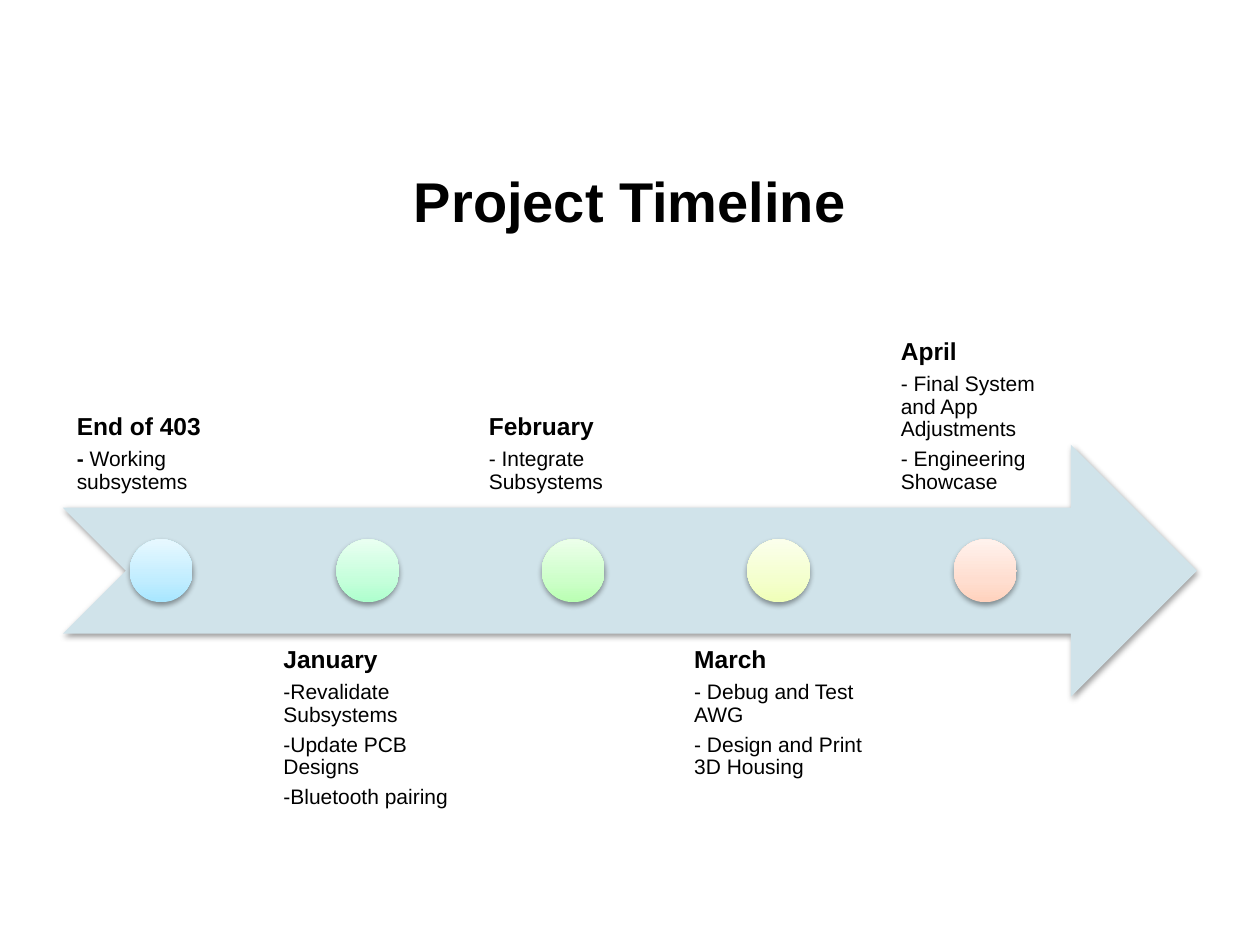
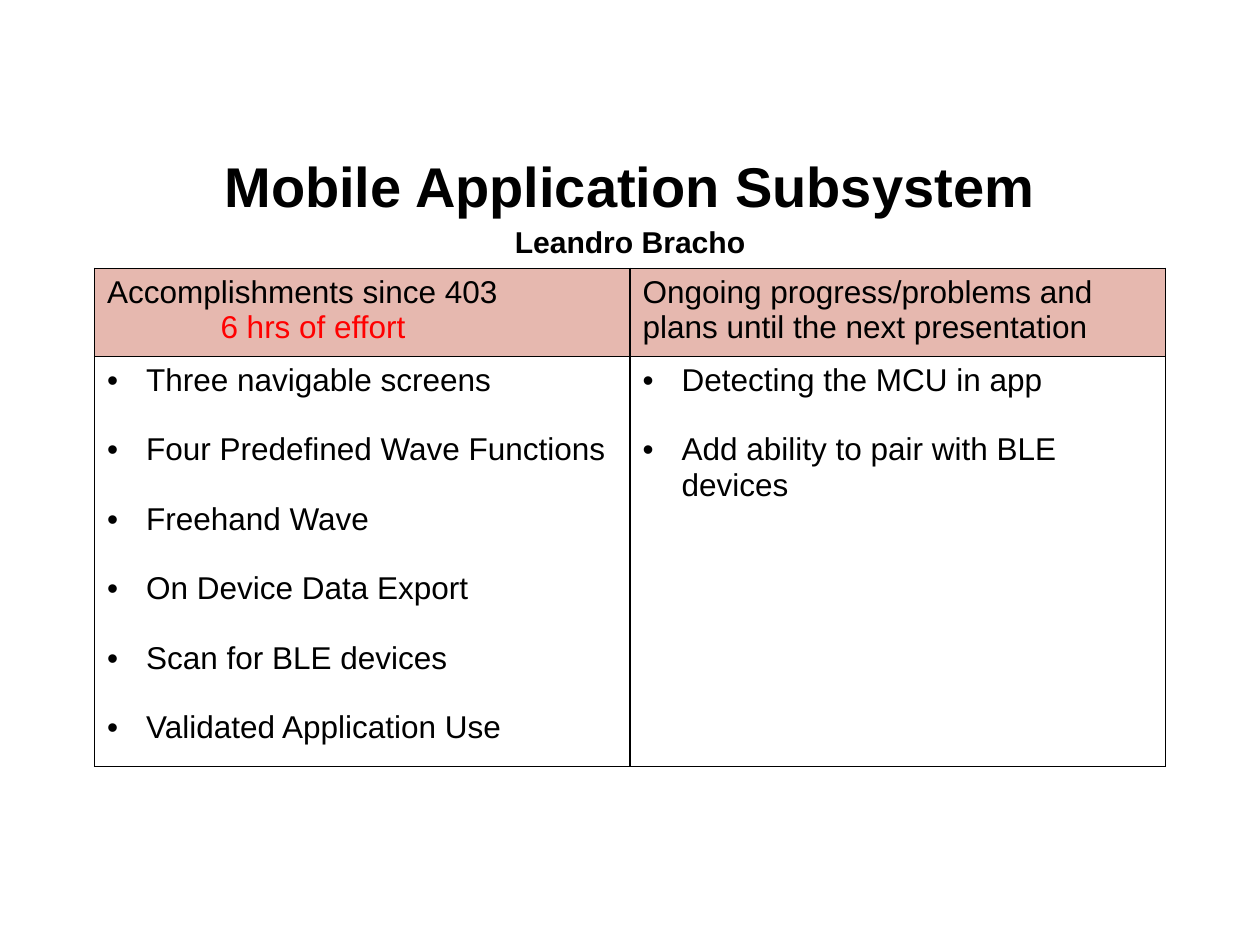
from copy import deepcopy
from dataclasses import dataclass

from lxml.etree import SubElement
from pptx import Presentation
from pptx.dml.color import RGBColor
from pptx.enum.shapes import MSO_SHAPE
from pptx.enum.text import MSO_ANCHOR, PP_ALIGN
from pptx.oxml.ns import qn
from pptx.util import Emu, Pt

EMU_PER_PX = 9144


def px(length):
    return Emu(round(length * EMU_PER_PX))


@dataclass(frozen=True)
class Theme:
    font: str = "Arial"
    ink: str = "000000"
    accent: str = "FF0000"
    arrow: str = "D0E3EA"
    header: str = "E6B8AF"
    title_size: float = 32
    subtitle_size: float = 17.2
    table_size: float = 18
    heading_size: float = 14
    detail_size: float = 12
    detail_gap: float = 4.2
    bullet_gap: float = 19.5


class Deck:
    def __init__(self, theme):
        self.theme = theme
        self.presentation = Presentation()
        self.presentation.slide_width = px(1000)
        self.presentation.slide_height = px(750)
        self.slide = None

    def new_slide(self):
        self.slide = self.presentation.slides.add_slide(self.presentation.slide_layouts[6])

    def style(self, paragraph, size, bold=False, color=None):
        font = paragraph.font
        font.name = self.theme.font
        font.size = Pt(size)
        font.bold = bold
        font.color.rgb = RGBColor.from_string(color or self.theme.ink)

    def paragraphs(self, frame, count):
        return [frame.paragraphs[0]] + [frame.add_paragraph() for _ in range(count - 1)]

    def text_frame(self, left, top, width, height, anchor, margins):
        frame = self.slide.shapes.add_textbox(px(left), px(top), px(width), px(height)).text_frame
        frame.word_wrap = True
        frame.vertical_anchor = anchor
        frame.margin_left = frame.margin_right = px(margins[0])
        frame.margin_top = frame.margin_bottom = px(margins[1])
        return frame

    def title(self, title, subtitle=None):
        frame = self.text_frame(50, 115, 900, 88, MSO_ANCHOR.MIDDLE, (10, 5))
        lines = [(title, self.theme.title_size)]
        if subtitle:
            lines.append((subtitle, self.theme.subtitle_size))
        for paragraph, (text, size) in zip(self.paragraphs(frame, len(lines)), lines):
            paragraph.text = text
            paragraph.alignment = PP_ALIGN.CENTER
            if subtitle:
                paragraph.line_spacing = 1.15
            self.style(paragraph, size, bold=True)

    def shape(self, kind, left, top, width, height):
        shape = self.slide.shapes.add_shape(kind, px(left), px(top), px(width), px(height))
        shape.line.fill.background()
        shape.shadow.inherit = False
        effects = shape._element.spPr.find(qn("a:effectLst"))
        shadow = SubElement(effects, qn("a:outerShdw"), blurRad="40000", dist="20000",
                            dir="5400000", rotWithShape="0")
        color = SubElement(shadow, qn("a:srgbClr"), val=self.theme.ink)
        SubElement(color, qn("a:alpha"), val="38000")
        return shape

    def arrow(self, left, top, width, height):
        shape = self.shape(MSO_SHAPE.NOTCHED_RIGHT_ARROW, left, top, width, height)
        shape.fill.solid()
        shape.fill.fore_color.rgb = RGBColor.from_string(self.theme.arrow)

    def marker(self, left, top, diameter, colors):
        shape = self.shape(MSO_SHAPE.OVAL, left, top, diameter, diameter)
        fill = shape.fill
        fill.gradient()
        fill.gradient_angle = 90
        stops = shape._element.spPr.find(qn("a:gradFill")).find(qn("a:gsLst"))
        stops.append(deepcopy(stops[0]))
        for stop, position, color in zip(fill.gradient_stops, (0, 0.35, 1), colors):
            stop.position = position
            stop.color.rgb = RGBColor.from_string(color)

    def milestone(self, left, top, anchor, heading, details):
        frame = self.text_frame(left, top, 156, 200, anchor, (11, 11))
        first, *rest = self.paragraphs(frame, len(details) + 1)
        first.text = heading
        first.line_spacing = 0.9
        self.style(first, self.theme.heading_size, bold=True)
        for paragraph, (bold_lead, text) in zip(rest, details):
            if bold_lead:
                lead = paragraph.add_run()
                lead.text = bold_lead
                lead.font.bold = True
            paragraph.add_run().text = text
            paragraph.line_spacing = 0.9
            paragraph.space_before = Pt(self.theme.detail_gap)
            self.style(paragraph, self.theme.detail_size)

    def border(self, cell):
        properties = cell._tc.get_or_add_tcPr()
        for side in ("a:lnL", "a:lnR", "a:lnT", "a:lnB"):
            line = SubElement(properties, qn(side), w=str(Pt(1)))
            fill = SubElement(line, qn("a:solidFill"))
            SubElement(fill, qn("a:srgbClr"), val=self.theme.ink)

    def header_cell(self, cell, text, effort):
        self.border(cell)
        cell.fill.solid()
        cell.fill.fore_color.rgb = RGBColor.from_string(self.theme.header)
        frame = cell.text_frame
        frame.text = text
        self.style(frame.paragraphs[0], self.theme.table_size)
        if effort:
            paragraph = frame.add_paragraph()
            paragraph.text = effort
            paragraph._p.get_or_add_pPr().set("marL", str(px(90)))
            self.style(paragraph, self.theme.table_size, color=self.theme.accent)

    def bullet_cell(self, cell, bullets):
        self.border(cell)
        cell.fill.background()
        for index, paragraph in enumerate(self.paragraphs(cell.text_frame, len(bullets))):
            paragraph.text = bullets[index]
            properties = paragraph._p.get_or_add_pPr()
            properties.set("marL", str(px(31)))
            properties.set("indent", str(-px(31)))
            SubElement(properties, qn("a:buFont"), typeface=self.theme.font)
            SubElement(properties, qn("a:buChar"), char="•")
            if index:
                paragraph.space_before = Pt(self.theme.bullet_gap)
            self.style(paragraph, self.theme.table_size)

    def table(self, left, top, column_width, row_heights, columns):
        table = self.slide.shapes.add_table(
            2, len(columns), px(left), px(top),
            px(column_width * len(columns)), px(sum(row_heights))).table
        table.first_row = table.horz_banding = False
        for row, height in zip(table.rows, row_heights):
            row.height = px(height)
        for index, (heading, effort, bullets) in enumerate(columns):
            table.columns[index].width = px(column_width)
            self.header_cell(table.cell(0, index), heading, effort)
            self.bullet_cell(table.cell(1, index), bullets)


MILESTONES = [
    ("End of 403", [("- ", "Working subsystems")], ("A7E6FF", "C1EDFF", "E7F8FF")),
    ("January", [("", "-Revalidate Subsystems"), ("", "-Update PCB Designs"),
                 ("", "-Bluetooth pairing")], ("ADFFCD", "C5FFDB", "E9FFF1")),
    ("February", [("", "- Integrate Subsystems")], ("B9FFB2", "CDFFC9", "ECFFEA")),
    ("March", [("", "- Debug and Test AWG"), ("", "- Design and Print 3D Housing")],
     ("F0FFB8", "F4FFCD", "FBFFEC")),
    ("April", [("", "- Final System and App Adjustments"), ("", "- Engineering Showcase")],
     ("FFD2BD", "FFDED0", "FFF2ED")),
]

PROGRESS = [
    ("Accomplishments since 403", "6 hrs of effort",
     ["Three navigable screens", "Four Predefined Wave Functions", "Freehand Wave",
      "On Device Data Export", "Scan for BLE devices", "Validated Application Use"]),
    ("Ongoing progress/problems and plans until the next presentation", None,
     ["Detecting the MCU in app", "Add ability to pair with BLE devices"]),
]


def build_timeline(deck):
    deck.new_slide()
    deck.title("Project Timeline")
    deck.arrow(50, 353, 900, 200)
    for index, (heading, details, colors) in enumerate(MILESTONES):
        left = round(50 + index * 163.5)
        above = index % 2 == 0
        top, anchor = (203, MSO_ANCHOR.BOTTOM) if above else (503, MSO_ANCHOR.TOP)
        deck.milestone(left, top, anchor, heading, details)
        deck.marker(left + 53, 428, 50, colors)


def build_subsystem(deck):
    deck.new_slide()
    deck.title("Mobile Application Subsystem", "Leandro Bracho")
    deck.table(75, 213, 425, (70, 318), PROGRESS)


def main():
    deck = Deck(Theme())
    build_timeline(deck)
    build_subsystem(deck)
    deck.presentation.save("out.pptx")


if __name__ == "__main__":
    main()
